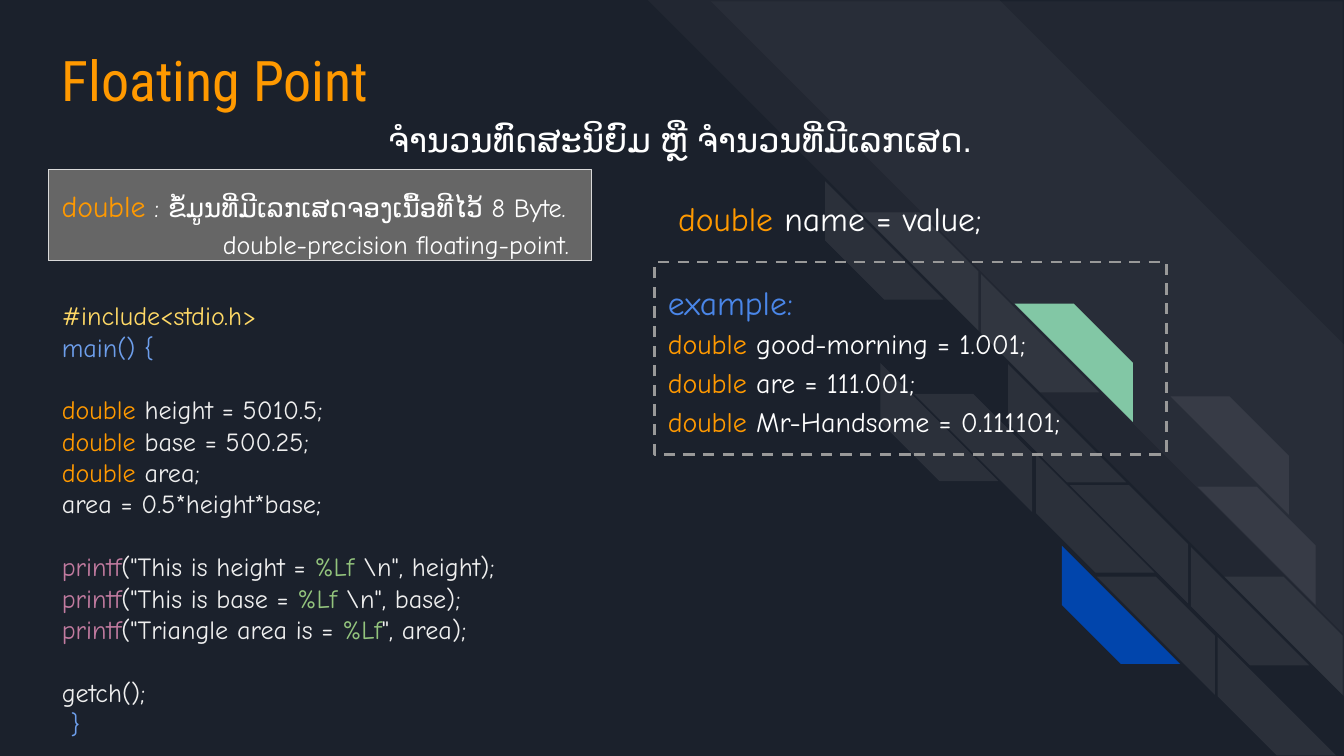
from lxml.etree import SubElement
from pptx import Presentation
from pptx.dml.color import RGBColor
from pptx.enum.dml import MSO_LINE
from pptx.enum.shapes import MSO_SHAPE
from pptx.enum.text import MSO_ANCHOR, MSO_AUTO_SIZE, PP_ALIGN
from pptx.oxml.ns import qn
from pptx.util import Inches, Pt

L, C, R = PP_ALIGN.LEFT, PP_ALIGN.CENTER, PP_ALIGN.RIGHT
ORANGE, WHITE, PALE = "FF9900", "FFFFFF", "EFEFEF"
BLUE, PINK, GREEN = "6D9EEB", "C27BA0", "93C47D"
COMIC = "Comic Neue"

TITLE = [
    (L, 1, 0, "Roboto Condensed", [("Floating Point", 30, ORANGE)]),
    (C, 1.15, 0, "Arial", [("ຈຳນວນທົດສະນິຍົມ ຫຼື ຈຳນວນທີ່ມີເລກເສດ.", 18, WHITE)]),
]
DEFINITION = [
    (L, 1.15, 0, COMIC, [("double", 16, ORANGE),
                         (" : ຂໍ້ມູນທີ່ມີເລກເສດຈອງເນື້ອທີໄວ້ 8 Byte.", 14, WHITE)]),
    (R, 1.15, 0, COMIC, [("double-precision floating-point. ", 14, WHITE)]),
]
SYNTAX = [(C, 1.15, 0, COMIC, [("double ", 18, ORANGE), ("name = value;", 18, WHITE)])]
EXAMPLES = [" good-morning = 1.001;", " are = 111.001;", " Mr-Handsome = 0.111101;"]
CODE_BLOCKS = [
    [[("#include<stdio.h>", "FFD966")],
     [("main() {", BLUE)]],
    [[("double", ORANGE), (" height = 5010.5;", PALE)],
     [("double", ORANGE), (" base = 500.25;", PALE)],
     [("double", ORANGE), (" area;", PALE)],
     [("area = 0.5*height*base;", PALE)]],
    [[("printf", PINK), ('("This is height = ', PALE), ("%Lf", GREEN), (' \\n", height);', PALE)],
     [("printf", PINK), ('("This is base = ', PALE), ("%Lf ", GREEN), ('\\n", base);', PALE)],
     [("printf", PINK), ('("Triangle area is = ', PALE), ("%Lf", GREEN), ('", area);', PALE)]],
    [[("getch();", PALE)],
     [(" }", BLUE)]],
]
BANDS = [(4.82, 0, 5.18, 0.495), (5.29, 0.01, 4.7, 0)]
BRICK = 0.88
LEFT_BRICKS = [(6.14, 1.35), (6.55, 2.7), (7.3, 2.04), (7.5, 2.71),
               (7.71, 3.38), (7.9, 4.06), (8.86, 4.07), (9.06, 4.74)]
RIGHT_BRICKS = [(6.4, 1.58), (6.8, 2.93), (7.55, 2.26), (8.71, 2.95),
                (8.91, 3.62), (7.96, 3.61), (8.16, 4.29), (9.11, 4.29)]
ACCENTS = {(7.55, 2.26): "82C7A5", (7.9, 4.06): "0145AC"}


def rgb(colour):
    """Turn a hex string into a colour."""
    return RGBColor.from_string(colour)


def place(sp, x, y, w, h):
    """Move and size a shape in inches."""
    sp.left, sp.top, sp.width, sp.height = map(Inches, (x, y, w, h))


def write(sp, paragraphs):
    """Fill a shape from (alignment, line spacing, space before, font, runs) rows."""
    tf = sp.text_frame
    tf.word_wrap = True
    tf.auto_size = MSO_AUTO_SIZE.NONE
    tf.vertical_anchor = MSO_ANCHOR.TOP
    tf.margin_left = tf.margin_right = tf.margin_top = tf.margin_bottom = Inches(0.1)
    for i, (align, spacing, before, font, runs) in enumerate(paragraphs):
        p = tf.add_paragraph() if i else tf.paragraphs[0]
        p.alignment, p.line_spacing = align, spacing
        p.space_before, p.space_after = Pt(before), Pt(0)
        pPr = p._p.get_or_add_pPr()
        pPr.set("marL", "0")
        pPr.set("indent", "0")
        SubElement(pPr, qn("a:buNone"))
        for text, size, colour in runs:
            r = p.add_run()
            r.text = text
            r.font.name, r.font.size = font, Pt(size)
            r.font.color.rgb = rgb(colour)
            SubElement(r._r.get_or_add_rPr(), qn("a:cs"), typeface=font)


def add_stripe(group, x, y, size, adj, colour=WHITE, alpha=100, rotation=0, flip=False):
    """Add one diagonal stripe to the backdrop."""
    sp = group.shapes.add_shape(MSO_SHAPE.DIAGONAL_STRIPE, *map(Inches, (x, y, size, size)))
    sp.adjustments[0] = adj
    sp.rotation = rotation
    sp.shadow.inherit = False
    sp.line.fill.background()
    sp.fill.solid()
    sp.fill.fore_color.rgb = rgb(colour)
    if alpha < 100:
        tint = sp._element.spPr.find(".//" + qn("a:srgbClr"))
        SubElement(tint, qn("a:alpha"), val=str(alpha * 1000))
    if flip:
        sp._element.spPr.find(qn("a:xfrm")).set("flipH", "1")


def add_backdrop(s):
    """Build the stripes behind the content."""
    group = s.shapes.add_group_shape()
    for x, y, size, adj in BANDS:
        add_stripe(group, x, y, size, adj, alpha=3, rotation=90)
    for bricks, rotation, flip in ((LEFT_BRICKS, 270, False), (RIGHT_BRICKS, 0, True)):
        for brick in bricks:
            alpha = 100 if brick in ACCENTS else 7
            add_stripe(group, *brick, BRICK, 0.5, ACCENTS.get(brick, WHITE), alpha, rotation, flip)
    s.shapes._spTree.insert(2, group._element)


def add_box(s, x, y, w, h, line, width):
    """Add an unfilled rectangle with an outline."""
    sp = s.shapes.add_shape(MSO_SHAPE.RECTANGLE, *map(Inches, (x, y, w, h)))
    sp.shadow.inherit = False
    sp.fill.background()
    sp.line.color.rgb = rgb(line)
    sp.line.width = Pt(width)
    return sp


def main():
    """Build the Floating Point slide."""
    prs = Presentation()
    prs.slide_width = Inches(10)
    prs.slide_height = Inches(10 * 9 / 16)
    s = prs.slides.add_slide(prs.slide_layouts[1])
    s.background.fill.solid()
    s.background.fill.fore_color.rgb = rgb("1B212C")
    add_backdrop(s)

    title, code = s.shapes.title, s.placeholders[1]
    place(title, 0.36, 0.24, 9.4, 1.12)
    write(title, TITLE)

    definition = add_box(s, 0.36, 1.26, 4.04, 0.68, "D9D9D9", 0.75)
    definition.fill.solid()
    definition.fill.fore_color.rgb = rgb("666666")
    write(definition, DEFINITION)

    syntax = s.shapes.add_textbox(*map(Inches, (4.69, 1.33, 2.97, 0.56)))
    write(syntax, SYNTAX)

    example = add_box(s, 4.87, 1.95, 3.81, 1.43, "999999", 1.5)
    example.line.dash_style = MSO_LINE.DASH
    write(example, [(L, 1.15, 0, COMIC, [("example:", 18, "4A86E8")])]
          + [(L, 1.15, 0, COMIC, [("double", 15, ORANGE), (t, 15, WHITE)]) for t in EXAMPLES])

    place(code, 0.36, 2.13, 4.23, 3.34)
    write(code, [(L, 1, 16.75 if b and not i else 0, COMIC, [(t, 14, c) for t, c in runs])
                 for b, block in enumerate(CODE_BLOCKS) for i, runs in enumerate(block)])

    prs.save("out.pptx")


if __name__ == "__main__":
    main()
